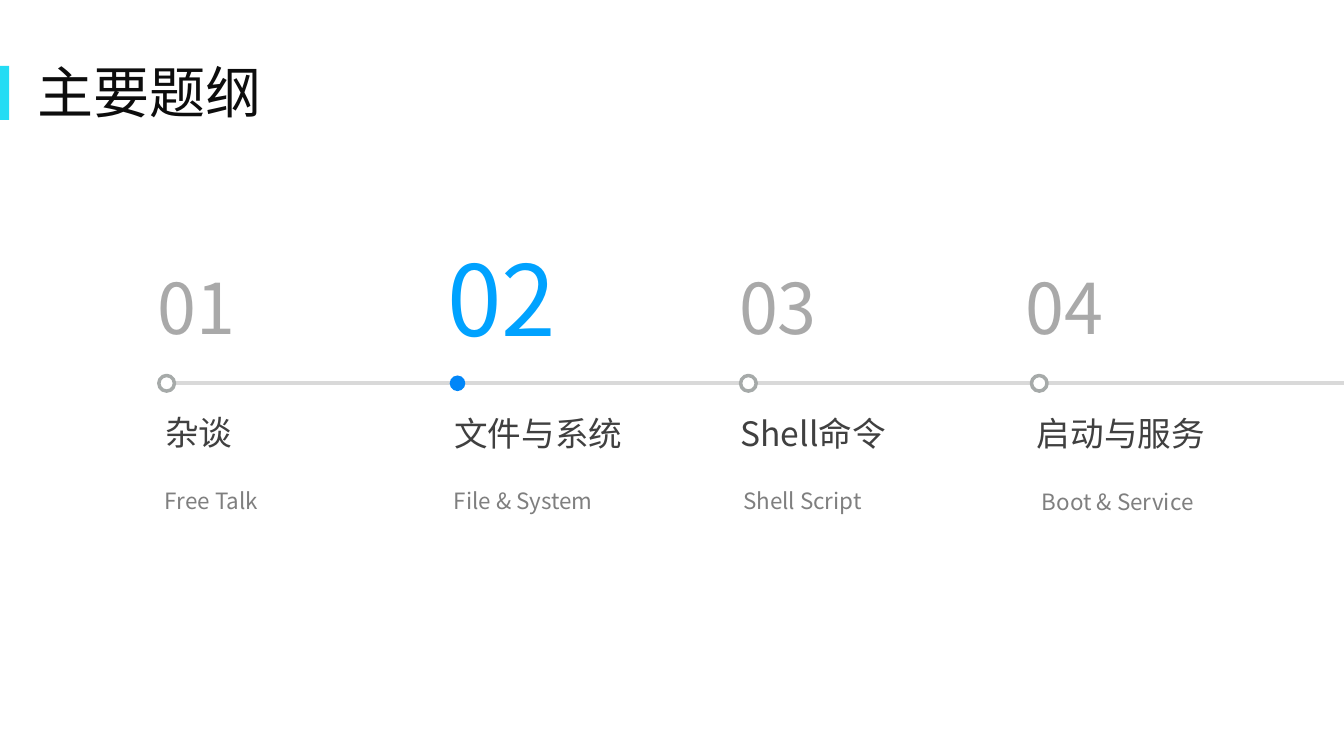
from dataclasses import dataclass
from lxml import etree
from pptx import Presentation
from pptx.dml.color import RGBColor
from pptx.enum import shapes, text
from pptx.oxml.ns import qn
from pptx.util import Inches, Pt


@dataclass(frozen=True)
class Theme:
    font: str = "Noto Sans CJK SC"
    ink: str = "0D0D0D"
    head: str = "404040"
    note: str = "7F7F7F"
    dim: str = "A9A9A9"
    hot: str = "00A2FF"
    dot: str = "0186F8"
    ring: str = "A6AAA9"
    rail: str = "D9D9D9"
    bar: str = "24DCF4"
    white: str = "FFFFFF"
    title_pt: int = 80
    num_pt: int = 100
    hot_pt: int = 140
    head_pt: int = 48
    note_pt: int = 32
    line_pt: int = 5


@dataclass(frozen=True)
class Box:
    left: float
    top: float
    width: float
    height: float

    def place(self) -> list:
        return [Inches(v) for v in (self.left, self.top, self.width, self.height)]


@dataclass(frozen=True)
class Step:
    num: Box
    head: str
    head_box: Box
    note: str
    note_box: Box
    active: bool = False


T = Theme()
DOT_LEFT, DOT_GAP, DOT_TOP, DOT_SIZE = 3.15, 5.77, 7.45, 0.31
RAIL_Y = 7.6

STEPS = [
    Step(Box(3.06, 5.19, 1.65, 1.78), "杂谈", Box(3.22, 8.11, 1.45, 0.91),
         "Free Talk", Box(3.21, 9.61, 4.24, 0.64)),
    Step(Box(8.81, 4.68, 2.27, 2.44), "文件与系统", Box(8.95, 8.13, 3.45, 0.91),
         "File & System", Box(8.94, 9.61, 3.56, 0.64), active=True),
    Step(Box(14.6, 5.19, 1.65, 1.78), "Shell命令", Box(14.63, 8.13, 3.45, 0.91),
         "Shell Script", Box(14.68, 9.61, 4.24, 0.64)),
    Step(Box(20.28, 5.19, 1.65, 1.78), "启动与服务", Box(20.51, 8.13, 3.45, 0.91),
         "Boot & Service", Box(20.61, 9.63, 4.24, 0.64)),
]


def write(shape, words: str, *, size: int, color: str, wrap: bool = True) -> None:
    """Fill a shape with one left-aligned, vertically centred paragraph."""
    frame = shape.text_frame
    frame.word_wrap = wrap
    frame.auto_size = text.MSO_AUTO_SIZE.NONE
    frame.vertical_anchor = text.MSO_ANCHOR.MIDDLE
    frame.margin_left = frame.margin_right = Inches(0.06)
    frame.margin_top = frame.margin_bottom = Inches(0.06)
    para = frame.paragraphs[0]
    para.alignment = text.PP_ALIGN.LEFT
    run = para.add_run()
    run.text = words
    run.font.size = Pt(size)
    run.font.name = T.font
    run.font.color.rgb = RGBColor.from_string(color)
    east = etree.SubElement(run.font._element, qn("a:ea"))
    east.set("typeface", T.font)


def label(slide, box: Box, words: str, **style) -> None:
    write(slide.shapes.add_textbox(*box.place()), words, **style)


def solid(slide, kind, box: Box, fill: str, line: str | None = None) -> None:
    shape = slide.shapes.add_shape(kind, *box.place())
    shape.shadow.inherit = False
    shape.fill.solid()
    shape.fill.fore_color.rgb = RGBColor.from_string(fill)
    if line:
        shape.line.color.rgb = RGBColor.from_string(line)
        shape.line.width = Pt(T.line_pt)
    else:
        shape.line.fill.background()


def rail(slide, start: float, end: float, y: float) -> None:
    line = slide.shapes.add_connector(
        shapes.MSO_CONNECTOR.STRAIGHT, Inches(start), Inches(y), Inches(end), Inches(y))
    line.line.color.rgb = RGBColor.from_string(T.rail)
    line.line.width = Pt(T.line_pt)
    etree.SubElement(line._element.spPr, qn("a:effectLst"))


def draw_step(slide, i: int, step: Step) -> None:
    label(slide, step.num, f"{i + 1:02}", wrap=False,
          size=T.hot_pt if step.active else T.num_pt,
          color=T.hot if step.active else T.dim)
    label(slide, step.head_box, step.head, size=T.head_pt, color=T.head, wrap=False)
    label(slide, step.note_box, step.note, size=T.note_pt, color=T.note)
    dot = Box(DOT_LEFT + i * DOT_GAP, DOT_TOP, DOT_SIZE, DOT_SIZE)
    solid(slide, shapes.MSO_SHAPE.OVAL, dot,
          T.dot if step.active else T.white, None if step.active else T.ring)


def main() -> None:
    deck = Presentation()
    deck.slide_width, deck.slide_height = Inches(26.66), Inches(15)
    slide = deck.slides.add_slide(deck.slide_layouts[5])

    # Title with its accent bar
    title = slide.shapes.title
    title.left, title.top, title.width, title.height = Box(0.69, 0.71, 25.28, 2.19).place()
    write(title, "主要题纲", size=T.title_pt, color=T.ink)
    solid(slide, shapes.MSO_SHAPE.RECTANGLE, Box(-0.06, 1.31, 0.24, 1.07), T.bar)

    # Timeline
    rail(slide, 3.27, 26.76, RAIL_Y)
    for i, step in enumerate(STEPS):
        draw_step(slide, i, step)

    deck.save("out.pptx")


if __name__ == "__main__":
    main()
